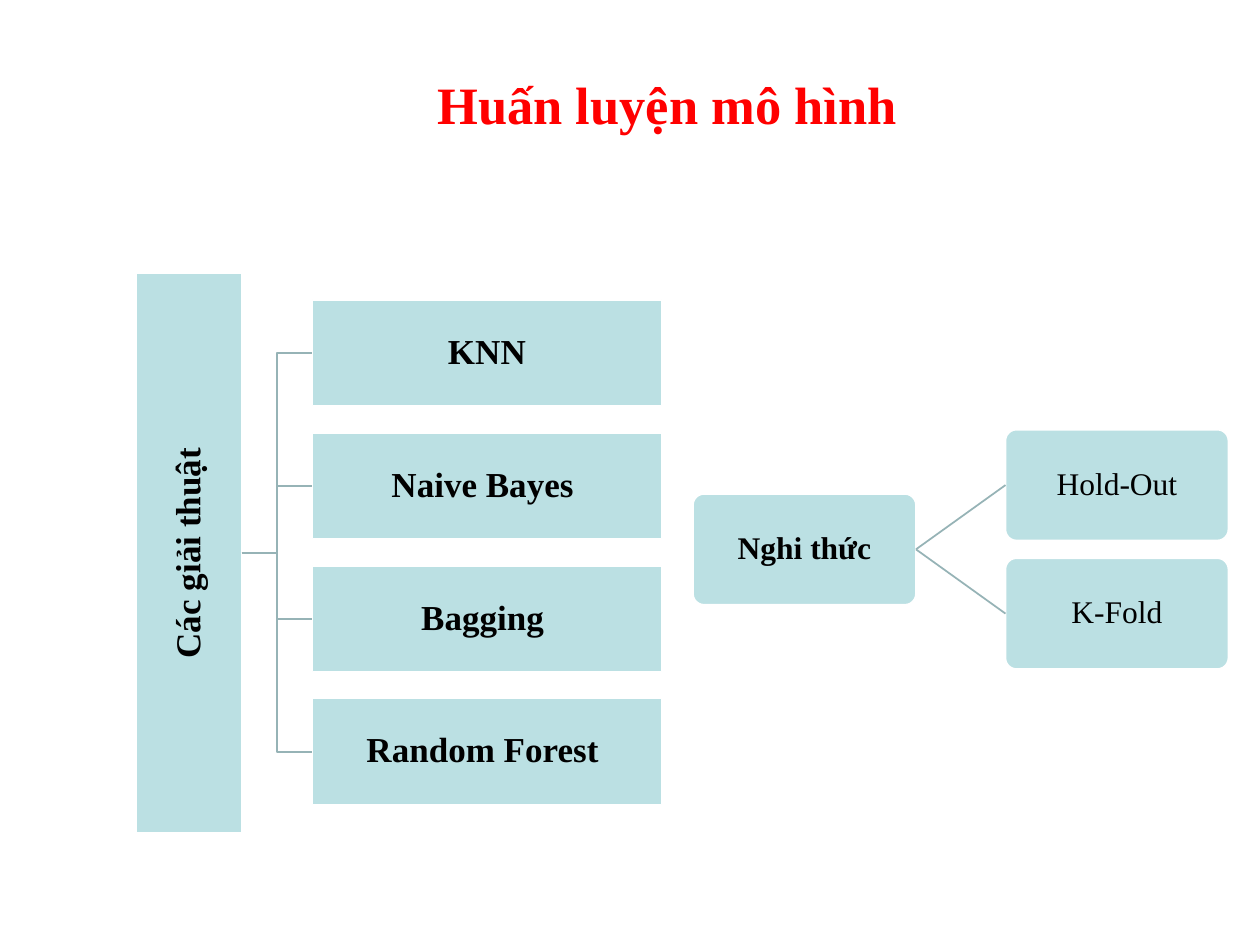
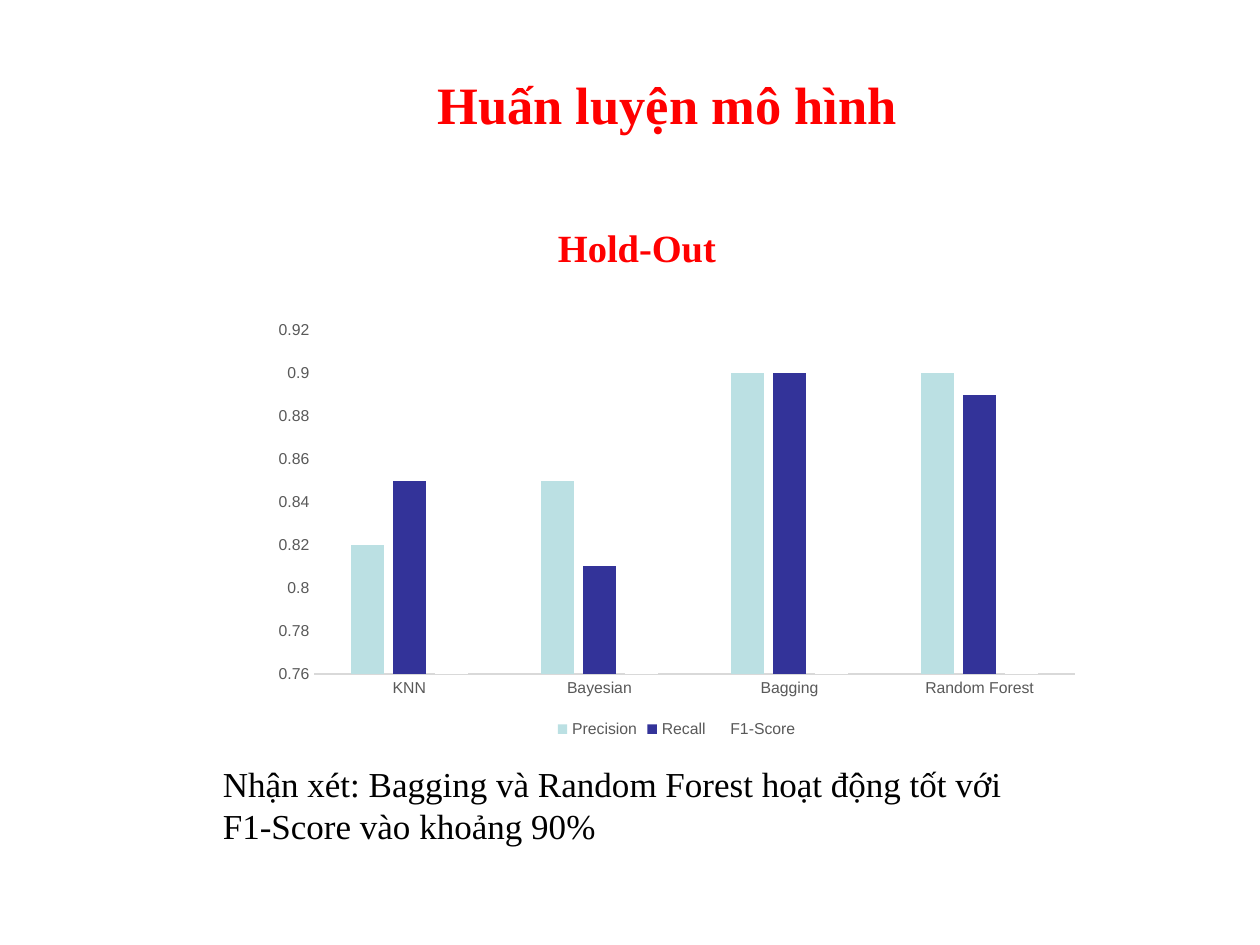
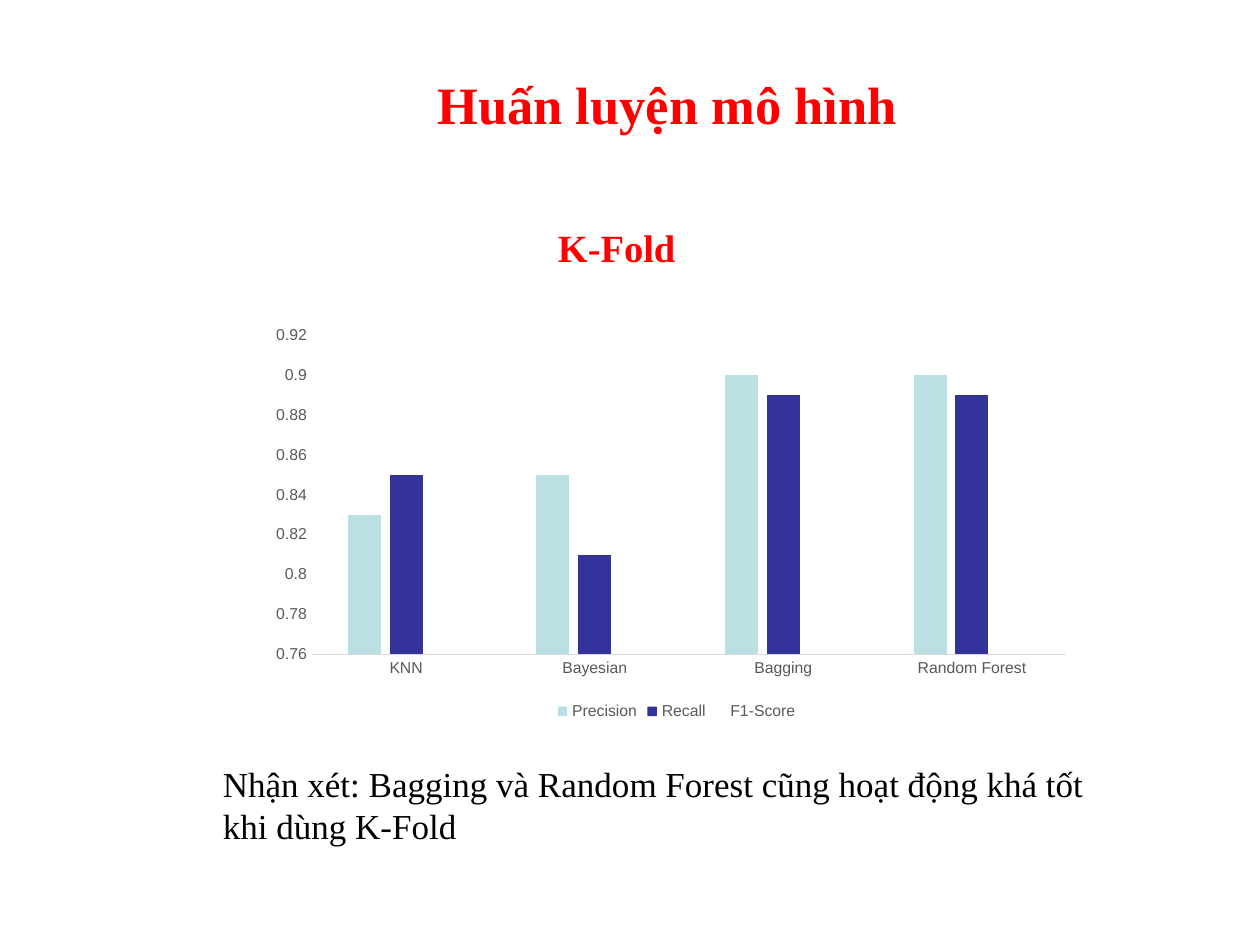
from dataclasses import dataclass
from typing import NamedTuple, Optional

from lxml.etree import SubElement
from pptx import Presentation
from pptx.chart.chart import Chart
from pptx.chart.data import CategoryChartData
from pptx.dml.color import RGBColor
from pptx.enum.chart import XL_CHART_TYPE, XL_LEGEND_POSITION, XL_TICK_MARK
from pptx.enum.shapes import MSO_CONNECTOR, MSO_SHAPE
from pptx.enum.text import MSO_ANCHOR, PP_ALIGN
from pptx.oxml import parse_xml
from pptx.oxml.ns import nsdecls, qn
from pptx.shapes.autoshape import Shape
from pptx.slide import Slide
from pptx.text.text import Font, TextFrame
from pptx.util import Inches, Pt


@dataclass(frozen=True)
class Theme:
    text_font: str = "Times New Roman"
    chart_font: str = "Arial"
    red: RGBColor = RGBColor(0xFF, 0x00, 0x00)
    black: RGBColor = RGBColor(0x00, 0x00, 0x00)
    white: RGBColor = RGBColor(0xFF, 0xFF, 0xFF)
    teal: RGBColor = RGBColor(0xBB, 0xE0, 0xE3)
    navy: RGBColor = RGBColor(0x33, 0x33, 0x99)
    branch: RGBColor = RGBColor(0x96, 0xB3, 0xB6)
    axis_text: RGBColor = RGBColor(0x59, 0x59, 0x59)
    axis_line: RGBColor = RGBColor(0xD9, 0xD9, 0xD9)
    title_size: int = 30
    heading_size: int = 22
    body_size: int = 20
    protocol_size: int = 18
    chart_size: int = 10
    axis_size: int = 9


THEME = Theme()
TITLE = "Huấn luyện mô hình"
MODELS = ("KNN", "Bayesian", "Bagging", "Random Forest")


class Area(NamedTuple):
    left: float
    top: float
    width: float
    height: float

    def lengths(self) -> tuple:
        return tuple(Inches(value) for value in self)


@dataclass(frozen=True)
class Node:
    label: str
    area: Area
    size: int = THEME.body_size
    bold: bool = True
    rounded: bool = False
    upright: bool = False


@dataclass(frozen=True)
class Score:
    name: str
    color: RGBColor
    values: tuple[float, ...]


@dataclass(frozen=True)
class Evaluation:
    heading: str
    remark: str
    chart_area: Area
    scores: tuple[Score, ...]
    plot_area: Optional[Area] = None


EVALUATIONS = (
    Evaluation(
        "Hold-Out",
        "Nhận xét: Bagging và Random Forest hoạt động tốt với\nF1-Score vào khoảng 90%",
        Area(2.08, 2.48, 6.58, 3.42),
        (
            Score("Precision", THEME.teal, (0.82, 0.85, 0.9, 0.9)),
            Score("Recall", THEME.navy, (0.85, 0.81, 0.9, 0.89)),
            Score("F1-Score", THEME.white, (0.82, 0.83, 0.9, 0.9)),
        ),
    ),
    Evaluation(
        "K-Fold",
        "Nhận xét: Bagging và Random Forest cũng hoạt động khá tốt khi dùng K-Fold",
        Area(2.08, 2.43, 6.58, 3.33),
        (
            Score("Precision", THEME.teal, (0.83, 0.85, 0.9, 0.9)),
            Score("Recall", THEME.navy, (0.85, 0.81, 0.89, 0.89)),
            Score("F1-Score", THEME.white, (0.83, 0.82, 0.9, 0.9)),
        ),
        Area(0.06, 0.07, 0.91, 0.76),
    ),
)


def style_font(font: Font, name: str, size: int, color: RGBColor, bold: bool = False) -> None:
    font.name = name
    font.size = Pt(size)
    font.bold = bold
    font.color.rgb = color


def write(frame: TextFrame, text: str, size: int, color: RGBColor, bold: bool,
          align: PP_ALIGN = PP_ALIGN.LEFT) -> None:
    frame.word_wrap = True
    frame.text = text
    for para in frame.paragraphs:
        para.alignment = align
        for span in para.runs:
            style_font(span.font, THEME.text_font, size, color, bold)


def add_text(slide: Slide, area: Area, text: str, size: int, color: RGBColor,
             bold: bool = False) -> TextFrame:
    frame = slide.shapes.add_textbox(*area.lengths()).text_frame
    write(frame, text, size, color, bold)
    return frame


def add_titled_slide(deck: Presentation) -> Slide:
    slide = deck.slides.add_slide(deck.slide_layouts[6])
    frame = add_text(slide, Area(1.92, 0.31, 6.75, 1.03), TITLE,
                     THEME.title_size, THEME.red, True)
    frame.vertical_anchor = MSO_ANCHOR.MIDDLE
    frame.paragraphs[0].alignment = PP_ALIGN.CENTER
    return slide


def add_node(slide: Slide, node: Node) -> Shape:
    preset = MSO_SHAPE.ROUNDED_RECTANGLE if node.rounded else MSO_SHAPE.RECTANGLE
    box = slide.shapes.add_shape(preset, *node.area.lengths())
    if node.rounded:
        box.adjustments[0] = 0.1
    box.shadow.inherit = False
    box.fill.solid()
    box.fill.fore_color.rgb = THEME.teal
    box.line.color.rgb = THEME.white
    box.line.width = Pt(1)
    frame = box.text_frame
    frame.margin_left = frame.margin_right = Inches(0.01)
    frame.margin_top = frame.margin_bottom = Inches(0.01)
    frame.vertical_anchor = MSO_ANCHOR.MIDDLE
    write(frame, node.label, node.size, THEME.black, node.bold, PP_ALIGN.CENTER)
    frame.paragraphs[0].line_spacing = 0.9
    if node.upright:
        frame._txBody.bodyPr.set("vert", "vert270")
    return box


def add_tree(slide: Slide, root: Node, leaves: list[Node], kind: MSO_CONNECTOR) -> None:
    """Draw the root and its leaves, joined from right side to left side."""
    root_box = add_node(slide, root)
    for leaf in leaves:
        leaf_box = add_node(slide, leaf)
        link = slide.shapes.add_connector(kind, 0, 0, 0, 0)
        link.begin_connect(root_box, 3)
        link.end_connect(leaf_box, 1)
        link.line.color.rgb = THEME.branch
        link.line.width = Pt(1)
        SubElement(link._element.spPr, qn("a:effectLst"))


def add_method_slide(deck: Presentation) -> None:
    slide = add_titled_slide(deck)
    algorithms = ("KNN", "Naive Bayes ", "Bagging ", "Random Forest ")
    add_tree(
        slide,
        Node("Các giải thuật", Area(1.08, 2.17, 0.84, 4.44), upright=True),
        [Node(label, Area(2.48, 2.38 + 1.055 * row, 2.77, 0.84))
         for row, label in enumerate(algorithms)],
        MSO_CONNECTOR.ELBOW,
    )
    add_tree(
        slide,
        Node("Nghi thức", Area(5.5, 3.92, 1.77, 0.88), THEME.protocol_size, rounded=True),
        [Node(evaluation.heading, Area(7.98, 3.41 + 1.02 * row, 1.77, 0.88),
              THEME.protocol_size, bold=False, rounded=True)
         for row, evaluation in enumerate(EVALUATIONS)],
        MSO_CONNECTOR.STRAIGHT,
    )


def fix_plot_area(chart: Chart, area: Area) -> None:
    """Place the inner plot area by fractions of the chart's size."""
    plot_area = chart._chartSpace.chart.plotArea
    for automatic in plot_area.findall(qn("c:layout")):
        plot_area.remove(automatic)
    places = "".join(f'<c:{tag} val="{value}"/>' for tag, value in zip("xywh", area))
    plot_area.insert(0, parse_xml(
        f'<c:layout {nsdecls("c")}><c:manualLayout><c:layoutTarget val="inner"/>'
        f'<c:xMode val="edge"/><c:yMode val="edge"/>{places}'
        "</c:manualLayout></c:layout>"
    ))


def add_score_chart(slide: Slide, evaluation: Evaluation) -> None:
    data = CategoryChartData()
    data.categories = MODELS
    for score in evaluation.scores:
        data.add_series(score.name, score.values)
    chart = slide.shapes.add_chart(
        XL_CHART_TYPE.COLUMN_CLUSTERED, *evaluation.chart_area.lengths(), data
    ).chart
    chart.has_title = False
    style_font(chart.font, THEME.chart_font, THEME.chart_size, THEME.black)

    chart.has_legend = True
    chart.legend.position = XL_LEGEND_POSITION.BOTTOM
    chart.legend.include_in_layout = False
    models, values = chart.category_axis, chart.value_axis
    for part in (chart.legend.font, models.tick_labels.font, values.tick_labels.font):
        style_font(part, THEME.chart_font, THEME.axis_size, THEME.axis_text)
    for axis in (models, values):
        axis.has_major_gridlines = False
        axis.major_tick_mark = axis.minor_tick_mark = XL_TICK_MARK.NONE
    models.format.line.color.rgb = THEME.axis_line
    models.format.line.width = Pt(0.75)
    values.format.line.fill.background()
    values.minimum_scale, values.maximum_scale, values.major_unit = 0.76, 0.92, 0.02

    plot = chart.plots[0]
    plot.gap_width = 219
    plot.overlap = -27
    plot.vary_by_categories = False
    for series, score in zip(plot.series, evaluation.scores):
        series.format.fill.solid()
        series.format.fill.fore_color.rgb = score.color
    if evaluation.plot_area:
        fix_plot_area(chart, evaluation.plot_area)


def add_evaluation_slide(deck: Presentation, evaluation: Evaluation) -> None:
    slide = add_titled_slide(deck)
    add_text(slide, Area(4.33, 1.73, 1.67, 0.47), evaluation.heading,
             THEME.heading_size, THEME.red, True)
    add_text(slide, Area(1.67, 6, 7.17, 0.77), evaluation.remark,
             THEME.body_size, THEME.black)
    add_score_chart(slide, evaluation)


def main() -> None:
    deck = Presentation()
    deck.slide_width, deck.slide_height = Inches(10), Inches(7.5)
    add_method_slide(deck)
    for evaluation in EVALUATIONS:
        add_evaluation_slide(deck, evaluation)
    deck.save("out.pptx")


if __name__ == "__main__":
    main()
